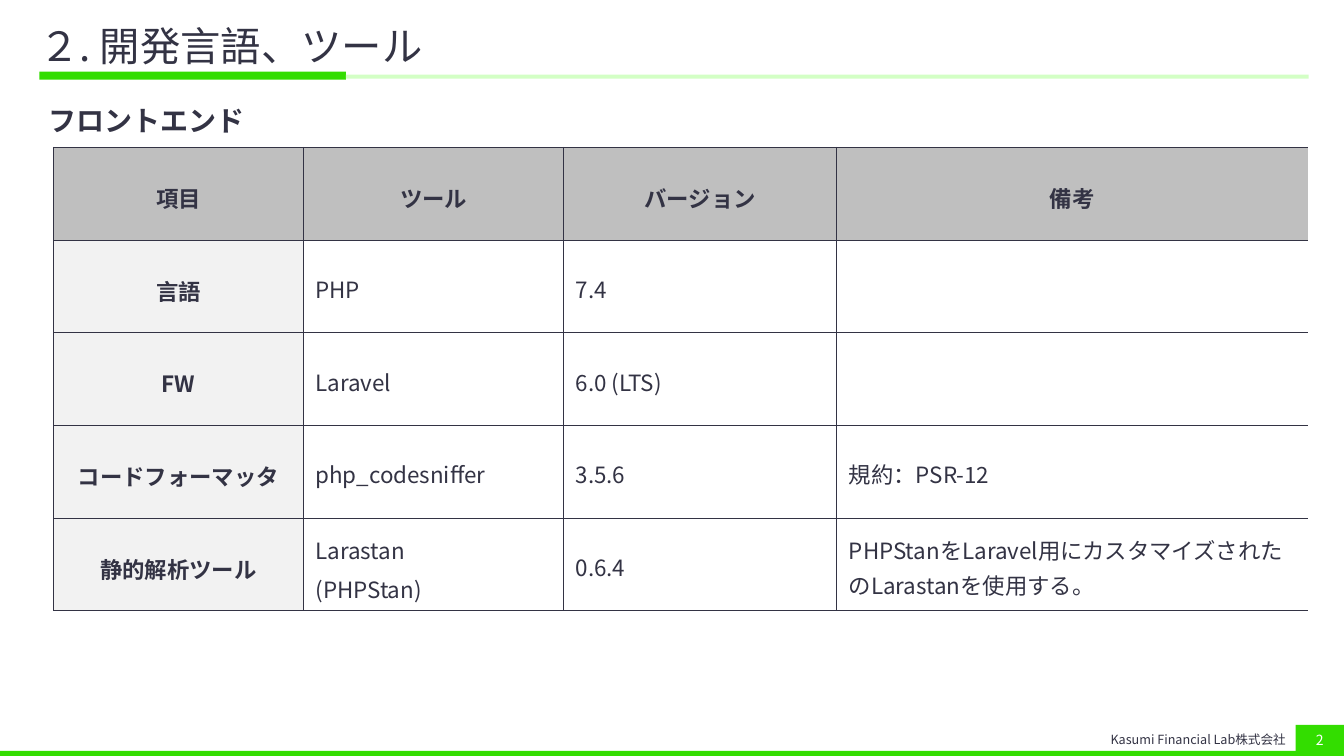
from lxml.etree import SubElement
from pptx import Presentation
from pptx.dml.color import RGBColor
from pptx.enum.shapes import MSO_SHAPE
from pptx.enum.text import MSO_ANCHOR, PP_ALIGN
from pptx.oxml import parse_xml
from pptx.oxml.ns import nsdecls, qn
from pptx.util import Inches, Pt

FONT = "Noto Sans CJK JP"
COLORS = {
    "ink": "333344",
    "green": "33DD00",
    "pale_green": "D3FFC5",
    "header": "BFBFBF",
    "label": "F2F2F2",
    "white": "FFFFFF",
}
TITLE = "２. 開発言語、ツール"
HEADING = "フロントエンド"
COMPANY = "Kasumi Financial Lab株式会社"
PAGE_NUMBER = "2"
ROWS = [
    ("項目", "ツール", "バージョン", "備考"),
    ("言語", "PHP", "7.4", ""),
    ("FW", "Laravel", "6.0 (LTS)", ""),
    ("コードフォーマッタ", "php_codesniffer", "3.5.6", "規約：PSR-12"),
    ("静的解析ツール", "Larastan\n(PHPStan)", "0.6.4",
     "PHPStanをLaravel用にカスタマイズされたのLarastanを使用する。"),
]
COLUMN_WIDTHS = [2.48, 2.58, 2.71, 4.67]
ROW_HEIGHT = 0.92
BARS = [
    ((0.39, 0.71, 3.04, 0.08), "green"),
    ((3.43, 0.74, 9.55, 0.04), "pale_green"),
    ((0, 7.45, 13.33, 0.05), "green"),
]


def color(name):
    return RGBColor.from_string(COLORS[name])


def write(frame, text, size, ink="ink", bold=False, align=PP_ALIGN.LEFT, spacing=1.0, after=0):
    frame.text = text
    frame.word_wrap = True
    for para in frame.paragraphs:
        para.alignment = align
        para.line_spacing = spacing
        para.space_after = Pt(after)
        for span in para.runs:
            span.font.size = Pt(size)
            span.font.bold = bold
            span.font.color.rgb = color(ink)
            span.font.name = FONT
            SubElement(span._r.get_or_add_rPr(), qn("a:ea")).set("typeface", FONT)


def add_bar(page, place, fill):
    bar = page.shapes.add_shape(MSO_SHAPE.RECTANGLE, *map(Inches, place))
    bar.shadow.inherit = False
    bar.fill.solid()
    bar.fill.fore_color.rgb = color(fill)
    bar.line.fill.background()
    return bar


def add_text(page, place, text, size, anchor=MSO_ANCHOR.MIDDLE, **style):
    box = page.shapes.add_textbox(*map(Inches, place))
    write(box.text_frame, text, size, **style)
    box.text_frame.vertical_anchor = anchor
    return box


def set_borders(cell, open_right):
    properties = cell._tc.get_or_add_tcPr()
    for index, side in enumerate("LRTB"):
        hidden = side == "R" and open_right
        paint = "<a:noFill/>" if hidden else (
            f'<a:solidFill><a:srgbClr val="{COLORS["ink"]}"/></a:solidFill>')
        line = f'<a:ln{side} {nsdecls("a")} w="{Pt(0.5)}">{paint}</a:ln{side}>'
        properties.insert(index, parse_xml(line))


def add_tools_table(page):
    place = (0.53, 1.46, sum(COLUMN_WIDTHS), ROW_HEIGHT * len(ROWS))
    table = page.shapes.add_table(len(ROWS), len(COLUMN_WIDTHS), *map(Inches, place)).table
    table.first_row = table.horz_banding = False
    for column, width in zip(table.columns, COLUMN_WIDTHS):
        column.width = Inches(width)
    for row_index, values in enumerate(ROWS):
        table.rows[row_index].height = Inches(ROW_HEIGHT)
        for column_index, value in enumerate(values):
            cell = table.cell(row_index, column_index)
            cell.vertical_anchor = MSO_ANCHOR.MIDDLE
            cell.margin_left = cell.margin_right = cell.margin_top = Inches(0.12)
            cell.margin_bottom = Inches(0.1)
            if row_index == 0 or column_index == 0:
                cell.fill.solid()
                cell.fill.fore_color.rgb = color("label" if row_index else "header")
                write(cell.text_frame, value, 16, bold=True, align=PP_ALIGN.CENTER,
                      spacing=1.2, after=6)
            else:
                cell.fill.background()
                write(cell.text_frame, value, 16, spacing=1.1, after=3)
            set_borders(cell, column_index == len(values) - 1)


def main():
    """Build the slide listing front-end languages and tools."""
    deck = Presentation()
    deck.slide_width, deck.slide_height = Inches(13.33), Inches(7.5)
    page = deck.slides.add_slide(deck.slide_layouts[6])
    for place, fill in BARS:
        add_bar(page, place, fill)
    title = add_text(page, (0.39, 0.2, 12.59, 0.56), TITLE, 28.8, spacing=0.9)
    title.text_frame.margin_left = 0
    title.text_frame.margin_right = Inches(0.16)
    add_text(page, (10.86, 7.2, 1.99, 0.27), COMPANY, 9, align=PP_ALIGN.RIGHT)
    badge = add_bar(page, (12.85, 7.19, 0.48, 0.31), "green")
    write(badge.text_frame, PAGE_NUMBER, 10, ink="white", align=PP_ALIGN.CENTER)
    add_text(page, (0.38, 0.92, 12.6, 6.11), HEADING, 20, anchor=MSO_ANCHOR.TOP,
             bold=True, spacing=Pt(28))
    add_tools_table(page)
    deck.save("out.pptx")


if __name__ == "__main__":
    main()
